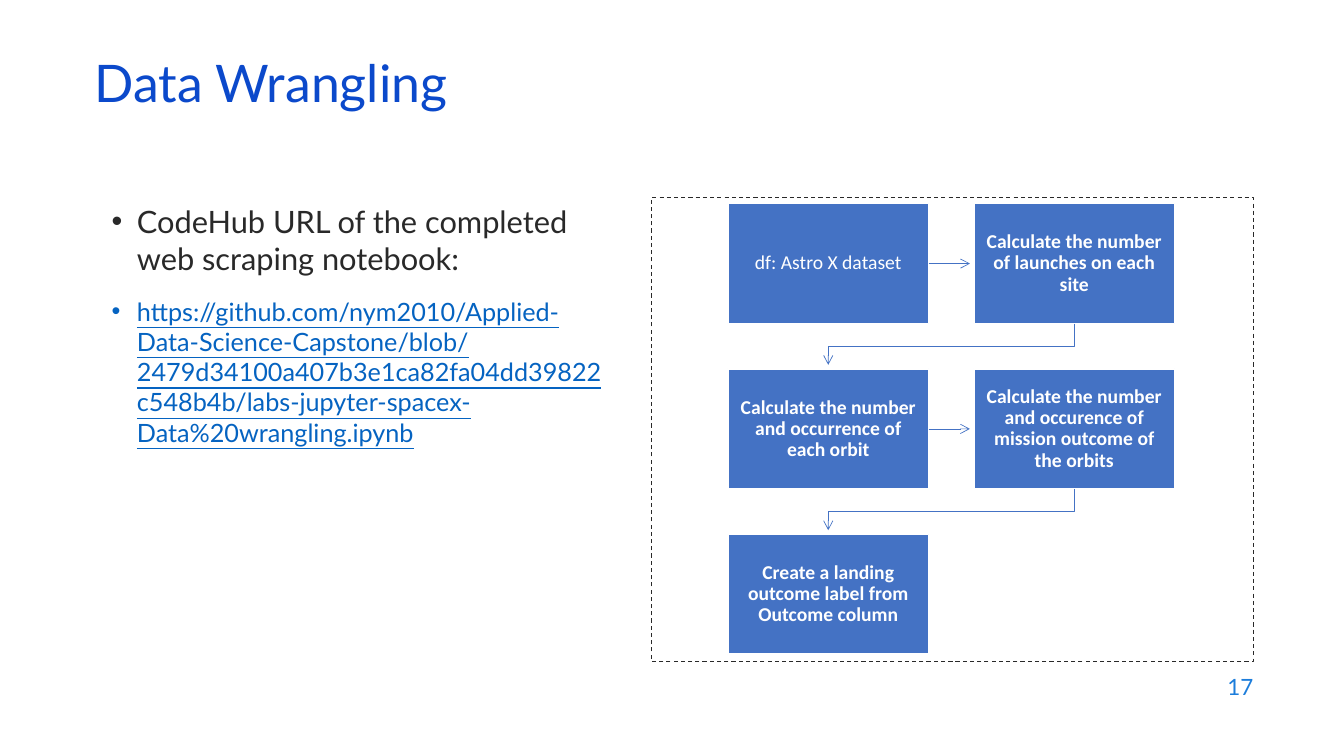
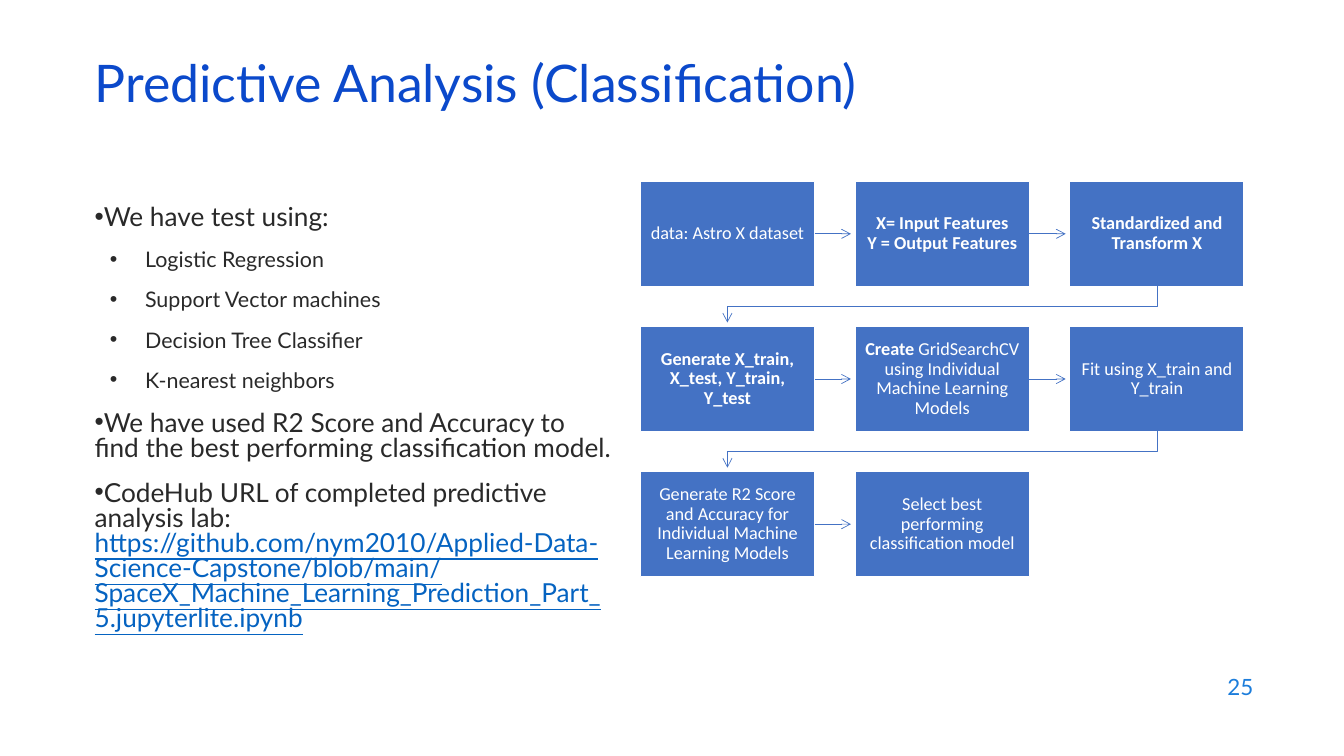
from lxml import etree
from pptx import Presentation
from pptx.dml.color import RGBColor
from pptx.enum.dml import MSO_LINE
from pptx.enum.shapes import MSO_CONNECTOR as Connector, MSO_SHAPE as Shape
from pptx.enum.text import MSO_ANCHOR as Anchor, MSO_AUTO_SIZE as AutoSize, PP_ALIGN as Align
from pptx.oxml.ns import qn
from pptx.util import Inches, Pt

COLORS = {"title": "0B49CB", "number": "1C7DDB", "text": "292929",
          "link": "0563C1", "box": "4472C4", "white": "FFFFFF"}
TEXT_FONT, BOX_FONT = "Lato", "Calibri"
TITLE_AT = (0.84, 0.59, 11.5, 0.6)
NUMBER_AT = (9.53, 6.59, 3, 0.44)
ARROW_STOP = 0.04  # space left between an arrowhead and its target

# Bullet styles: (left margin, first-line indent) in inches
HANGING, FLUSH, NESTED = (0.25, -0.25), (0, 0), (0.5, -0.35)

# Each bullet: (style, size, spans); each span: (text, mark)
# Each step: spans in reading order of the flow grid
SLIDES = [
    {
        "title": "Data Wrangling",
        "number": "17",
        "text_at": (1.01, 1.96, 5.08, 4.63),
        "line_spacing": 1.0,
        "bullets": [
            (HANGING, 22, [("CodeHub URL of the completed web scraping notebook:", "")]),
            (HANGING, 18, [("https://github.com/nym2010/Applied-Data-Science-Capstone/blob/"
                            "2479d34100a407b3e1ca82fa04dd39822c548b4b/"
                            "labs-jupyter-spacex-Data%20wrangling.ipynb", "link")]),
        ],
        "frame_at": (6.46, 1.96, 5.97, 4.6),
        "flow": {"left": 7.22, "top": 2.02, "width": 1.99, "height": 1.19,
                 "gap": 0.45, "columns": 2, "inset": 0.11, "size": 14},
        "steps": [
            [("df: Astro X dataset", "")],
            [("Calculate the number of launches on each site", "bold")],
            [("Calculate the number and occurrence of each orbit", "bold")],
            [("Calculate the number and occurence of mission outcome of the orbits", "bold")],
            [("Create a landing outcome label from Outcome column", "bold")],
        ],
    },
    {
        "title": "Predictive Analysis (Classification)",
        "number": "25",
        "text_at": (0.84, 2, 5.35, 4.91),
        "line_spacing": 0.8,
        "bullets": [
            (FLUSH, 18.7, [("We have test using:", "")]),
            (NESTED, 15.3, [("Logistic Regression", "")]),
            (NESTED, 15.3, [("Support Vector machines", "")]),
            (NESTED, 15.3, [("Decision Tree Classifier", "")]),
            (NESTED, 15.3, [("K-nearest neighbors", "")]),
            (FLUSH, 18.7, [("We have used R2 Score and Accuracy to find the best "
                            "performing classification model.", "")]),
            (FLUSH, 18.7, [("CodeHub URL of completed predictive analysis lab: ", ""),
                           ("https://github.com/nym2010/Applied-Data-Science-Capstone/blob/main/"
                            "SpaceX_Machine_Learning_Prediction_Part_5.jupyterlite.ipynb", "link")]),
        ],
        "frame_at": None,
        "flow": {"left": 6.35, "top": 1.8, "width": 1.73, "height": 1.04,
                 "gap": 0.4, "columns": 3, "inset": 0.1, "size": 13},
        "steps": [
            [("data: Astro X dataset", "")],
            [("X= Input Features\nY = Output Features", "bold")],
            [("Standardized and Transform X", "bold")],
            [("Generate X_train, X_test, Y_train, Y_test", "bold")],
            [("Create ", "bold"),
             ("GridSearchCV using Individual Machine Learning Models", "")],
            [("Fit using X_train and Y_train", "")],
            [("Generate R2 Score and Accuracy for Individual Machine Learning Models", "")],
            [("Select best performing classification model", "")],
        ],
    },
]


def color(name):
    return RGBColor.from_string(COLORS[name])


def inches(lengths):
    return [Inches(length) for length in lengths]


def add_spans(para, spans, font, size, ink):
    for text, mark in spans:
        for index, line in enumerate(text.split("\n")):
            if index:
                para.add_line_break()
            span = para.add_run()
            span.text = line
            span.font.name, span.font.size = font, Pt(size)
            span.font.bold = mark == "bold"
            span.font.underline = mark == "link"
            span.font.color.rgb = color("link" if mark == "link" else ink)


def add_bullet(para, style):
    margin, indent = inches(style)
    props = para._p.get_or_add_pPr()
    props.set("marL", str(margin))
    props.set("indent", str(indent))
    etree.SubElement(props, qn("a:buFont")).set("typeface", "Arial")
    etree.SubElement(props, qn("a:buChar")).set("char", "•")


def style_arrow(arrow):
    arrow.line.color.rgb = color("box")
    arrow.line.width = Pt(0.5)
    etree.SubElement(arrow.line._get_or_add_ln(), qn("a:tailEnd")).set("type", "arrow")


# Shared title and page number
def add_title_and_number(page, title, number):
    box = page.shapes.title
    box.left, box.top, box.width, box.height = inches(TITLE_AT)
    frame = box.text_frame
    frame.auto_size, frame.vertical_anchor = AutoSize.NONE, Anchor.MIDDLE
    para = frame.paragraphs[0]
    para.alignment, para.line_spacing = Align.LEFT, 0.7
    add_spans(para, [(title, "")], TEXT_FONT, 37, "title")

    frame = page.shapes.add_textbox(*inches(NUMBER_AT)).text_frame
    frame.word_wrap, frame.vertical_anchor = True, Anchor.MIDDLE
    para = frame.paragraphs[0]
    para.alignment = Align.RIGHT
    add_spans(para, [(number, "")], TEXT_FONT, 16, "number")


# Bulleted text on the left
def add_bullets(page, at, bullets, line_spacing):
    frame = page.shapes.add_textbox(*inches(at)).text_frame
    frame.word_wrap = True
    for index, (style, size, spans) in enumerate(bullets):
        para = frame.add_paragraph() if index else frame.paragraphs[0]
        add_bullet(para, style)
        para.line_spacing = line_spacing
        if index:
            para.space_before = Pt(14)
        add_spans(para, spans, TEXT_FONT, size, "text")


def add_dashed_frame(page, at):
    border = page.shapes.add_shape(Shape.RECTANGLE, *inches(at))
    border.shadow.inherit = False
    border.fill.background()
    border.line.color.rgb = color("text")
    border.line.width = Pt(0.75)
    border.line.dash_style = MSO_LINE.DASH


def add_step(page, at, spans, inset, size):
    box = page.shapes.add_shape(Shape.RECTANGLE, *inches(at))
    box.shadow.inherit = False
    box.fill.solid()
    box.fill.fore_color.rgb = color("box")
    box.line.color.rgb = color("white")
    box.line.width = Pt(1)
    frame = box.text_frame
    frame.word_wrap, frame.vertical_anchor = True, Anchor.MIDDLE
    frame.margin_left = frame.margin_right = Inches(inset)
    frame.margin_top = frame.margin_bottom = Inches(inset)
    para = frame.paragraphs[0]
    para.alignment, para.line_spacing = Align.CENTER, 0.9
    add_spans(para, spans, BOX_FONT, size, "white")
    return box


def add_arrow_right(page, box, gap):
    middle = box.top + box.height // 2
    start = box.left + box.width
    arrow = page.shapes.add_connector(Connector.STRAIGHT, start, middle,
                                      start + Inches(gap - ARROW_STOP), middle)
    arrow.begin_connect(box, 3)
    style_arrow(arrow)
    etree.SubElement(arrow._element.spPr, qn("a:effectLst"))


def add_arrow_to_next_row(page, box, first, gap):
    start_x, end_x = (item.left + item.width // 2 for item in (box, first))
    start_y = box.top + box.height
    turn_y = start_y + Inches(gap / 2)
    builder = page.shapes.build_freeform(start_x, start_y)
    builder.add_line_segments([(start_x, turn_y), (end_x, turn_y),
                               (end_x, start_y + Inches(gap - ARROW_STOP))], close=False)
    arrow = builder.convert_to_shape()
    arrow.fill.background()
    style_arrow(arrow)
    arrow.shadow.inherit = False


# Flow grid: boxes row by row, joined in reading order
def add_flow(page, flow, steps):
    width, height, gap, columns = (flow[key] for key in ("width", "height", "gap", "columns"))
    boxes = []
    for index, spans in enumerate(steps):
        row, column = divmod(index, columns)
        at = (flow["left"] + column * (width + gap),
              flow["top"] + row * (height + gap), width, height)
        boxes.append(add_step(page, at, spans, flow["inset"], flow["size"]))
    for index, box in enumerate(boxes[:-1]):
        if (index + 1) % columns:
            add_arrow_right(page, box, gap)
        else:
            add_arrow_to_next_row(page, box, boxes[index + 1 - columns], gap)


def main():
    deck = Presentation()
    deck.slide_width, deck.slide_height = Inches(13.33), Inches(7.5)
    for content in SLIDES:
        page = deck.slides.add_slide(deck.slide_layouts[5])
        add_title_and_number(page, content["title"], content["number"])
        add_bullets(page, content["text_at"], content["bullets"], content["line_spacing"])
        if content["frame_at"]:
            add_dashed_frame(page, content["frame_at"])
        add_flow(page, content["flow"], content["steps"])
    deck.save("out.pptx")


if __name__ == "__main__":
    main()
